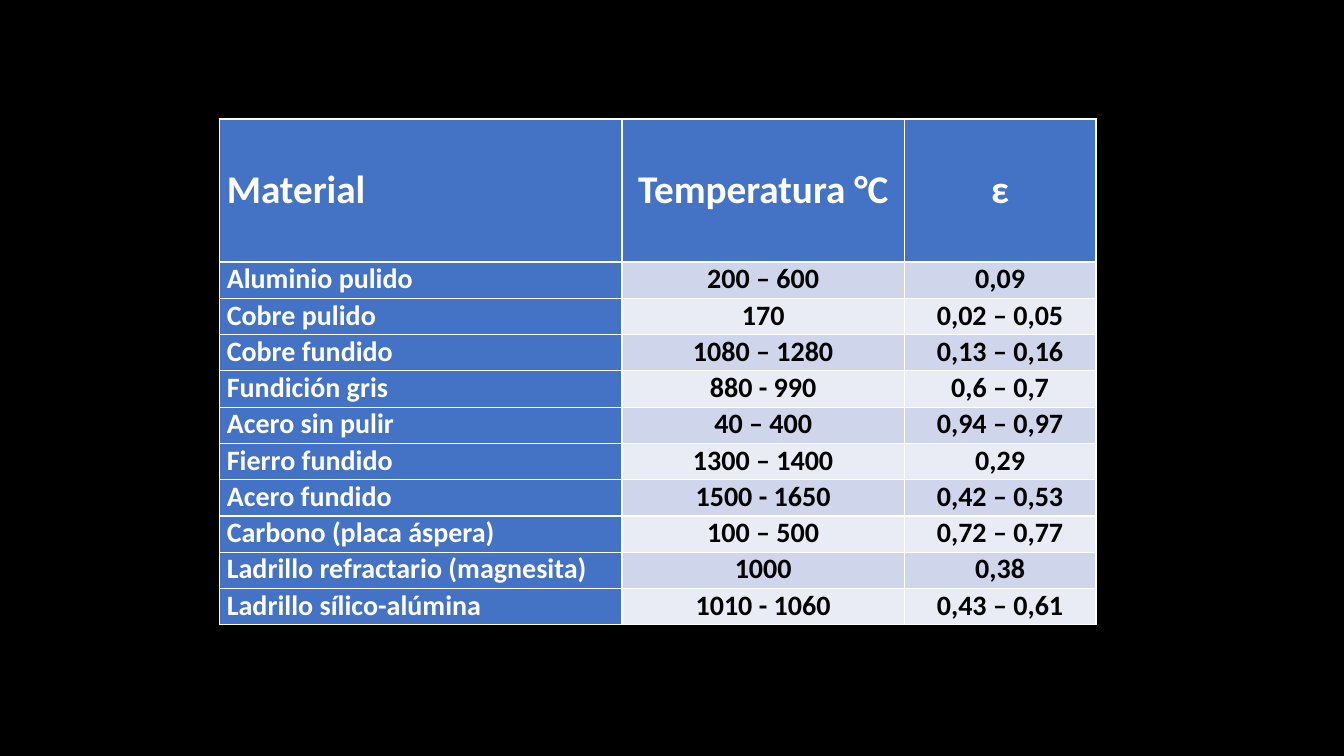
from lxml.etree import SubElement
from pptx import Presentation
from pptx.dml.color import RGBColor
from pptx.enum.text import MSO_ANCHOR, PP_ALIGN
from pptx.oxml.ns import qn
from pptx.util import Inches, Pt

HEADER = ("Material", "Temperatura °C", "ε")
MATERIALS = [
    ("Aluminio pulido", "200 – 600", "0,09"),
    ("Cobre pulido", "170", "0,02 – 0,05"),
    ("Cobre fundido", "1080 – 1280", "0,13 – 0,16"),
    ("Fundición gris", "880 - 990", "0,6 – 0,7"),
    ("Acero sin pulir", "40 – 400", "0,94 – 0,97"),
    ("Fierro fundido", "1300 – 1400", "0,29"),
    ("Acero fundido", "1500 - 1650", "0,42 – 0,53"),
    ("Carbono (placa áspera)", "100 – 500", "0,72 – 0,77"),
    ("Ladrillo refractario (magnesita)", "1000", "0,38"),
    ("Ladrillo sílico-alúmina", "1010 - 1060", "0,43 – 0,61"),
]
COLUMN_WIDTHS = (3.99, 2.8, 1.9)
HEADER_HEIGHT, ROW_HEIGHT = 1.42, 0.36
BLACK, WHITE, BLUE = "000000", "FFFFFF", "4472C4"
BANDS = ("CFD5EA", "E9EBF5")


def paint(fill, color):
    fill.solid()
    fill.fore_color.rgb = RGBColor.from_string(color)


def add_borders(cell):
    """Put a thin white line on each side; lines must precede the cell fill."""
    properties = cell._tc.get_or_add_tcPr()
    for side in ("a:lnL", "a:lnR", "a:lnT", "a:lnB"):
        line = SubElement(properties, qn(side), w=str(Pt(1)))
        solid = SubElement(line, qn("a:solidFill"))
        SubElement(solid, qn("a:srgbClr"), val=WHITE)


def format_cell(cell, text, row, column):
    is_header = row == 0
    is_blue = is_header or column == 0
    add_borders(cell)
    paint(cell.fill, BLUE if is_blue else BANDS[(row - 1) % 2])
    cell.margin_left = cell.margin_right = Inches(0.07)
    cell.margin_top = cell.margin_bottom = 0
    cell.vertical_anchor = MSO_ANCHOR.MIDDLE if is_header else MSO_ANCHOR.TOP
    cell.text_frame.text = text
    para = cell.text_frame.paragraphs[0]
    para.alignment = PP_ALIGN.CENTER if column else PP_ALIGN.JUSTIFY
    font = para.runs[0].font
    font.name, font.bold = "Calibri", True
    font.size = Pt(28 if is_header else 20)
    paint(font.fill, WHITE if is_blue else BLACK)


def main():
    deck = Presentation()
    deck.slide_width, deck.slide_height = Inches(13.33), Inches(7.5)
    page = deck.slides.add_slide(deck.slide_layouts[6])
    paint(page.background.fill, BLACK)

    rows = [HEADER] + MATERIALS
    heights = [HEADER_HEIGHT] + [ROW_HEIGHT] * len(MATERIALS)
    table = page.shapes.add_table(
        len(rows), len(HEADER), Inches(2.18), Inches(1.18),
        Inches(sum(COLUMN_WIDTHS)), Inches(sum(heights))).table
    for column, width in zip(table.columns, COLUMN_WIDTHS):
        column.width = Inches(width)
    for row, height in zip(table.rows, heights):
        row.height = Inches(height)
    for r, texts in enumerate(rows):
        for c, text in enumerate(texts):
            format_cell(table.cell(r, c), text, r, c)

    deck.save("out.pptx")


if __name__ == "__main__":
    main()
